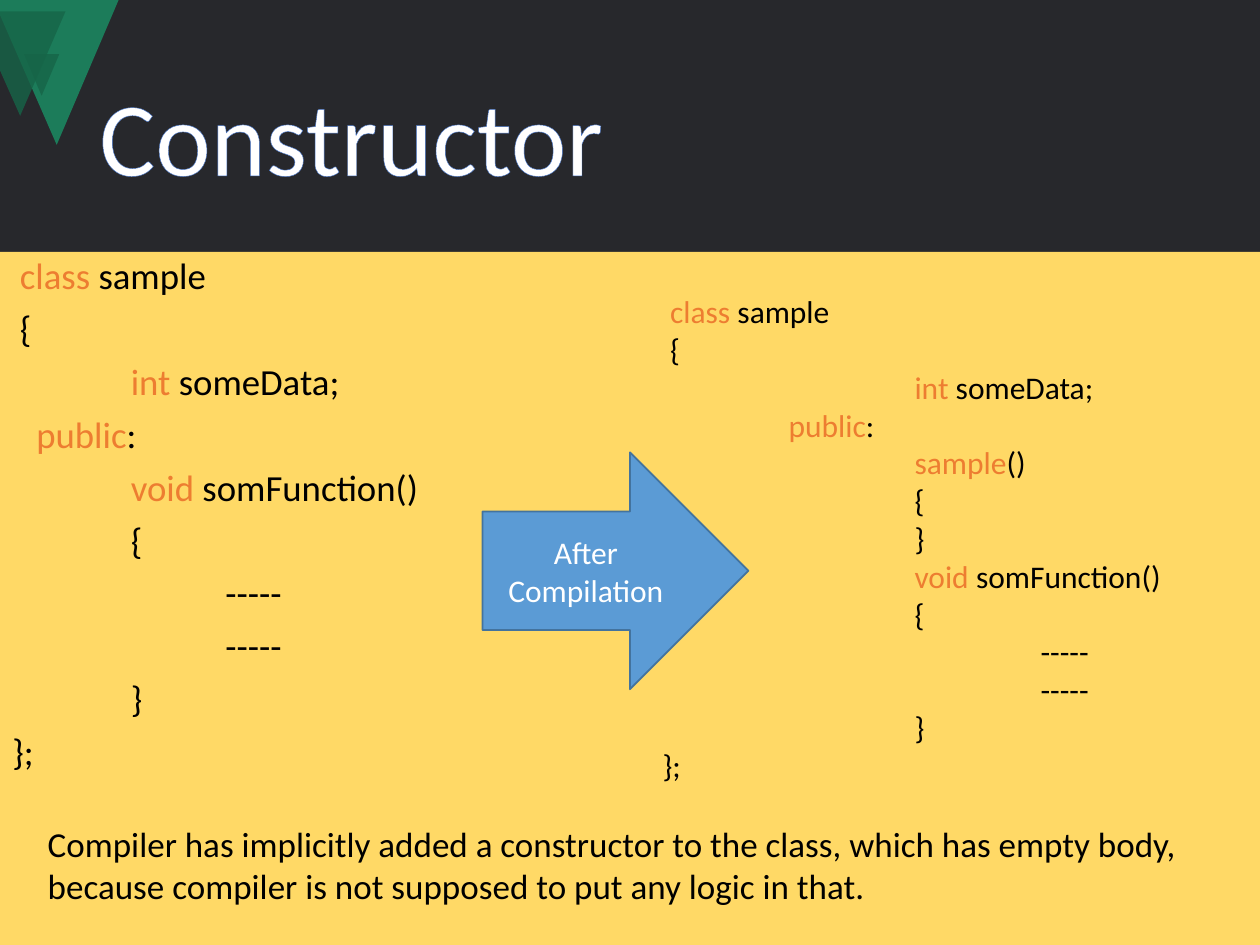
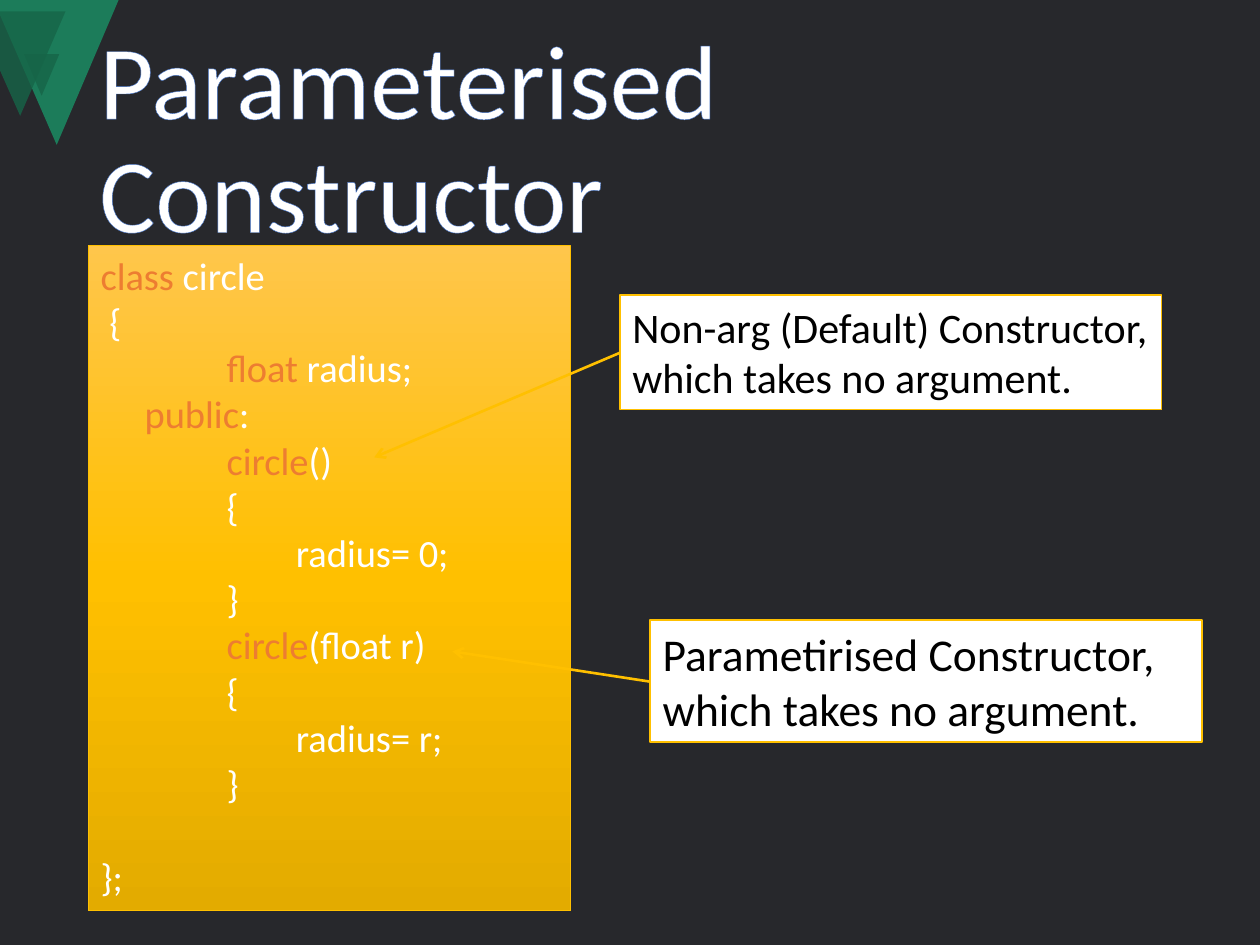
from copy import deepcopy
from dataclasses import dataclass

from lxml import etree
from pptx import Presentation
from pptx import util as u
from pptx.dml.color import RGBColor
from pptx.enum import shapes, text
from pptx.oxml import ns


@dataclass(frozen=True)
class Theme:
    font: str = "Calibri"
    night: str = "27282C"
    sand: str = "FFD966"
    gold: str = "FFC000"
    gold_light: str = "FFC64B"
    gold_dark: str = "E3AB00"
    green: str = "1C7C5A"
    green_dark: str = "166548"
    blue: str = "5B9BD5"
    blue_edge: str = "43739E"
    outline: str = "4472C4"
    keyword: str = "ED7D31"
    white: str = "FFFFFF"
    black: str = "000000"
    title: int = 60
    source: int = 21
    compiled: int = 18
    circle: int = 22
    caption: int = 20
    note: int = 24
    big_note: int = 26


THEME = Theme()
COLUMNS, ROWS = 100, 75
WIDTH, HEIGHT = u.Inches(10), u.Inches(7.5)
RECTANGLE = shapes.MSO_SHAPE.RECTANGLE


def column(count):
    return round(WIDTH * count / COLUMNS)


def row(count):
    return round(HEIGHT * count / ROWS)


def area(left, top, width, height):
    return column(left), row(top), column(width), row(height)


def rgb(value):
    return RGBColor.from_string(value)


def add_xml(parent, tag, **attributes):
    return etree.SubElement(parent, ns.qn(tag), attributes)


def paint(shape, fill, line=None, weight=1, alpha=None):
    shape.shadow.inherit = False
    shape.fill.solid()
    shape.fill.fore_color.rgb = rgb(fill)
    if alpha:
        color = shape.fill._xPr.find(".//" + ns.qn("a:srgbClr"))
        add_xml(color, "a:alpha", val=str(alpha * 1000))
    if line:
        shape.line.color.rgb = rgb(line)
        shape.line.width = u.Pt(weight)
    else:
        shape.line.fill.background()


def paint_gradient(shape, colors):
    shape.fill.gradient()
    shape.fill.gradient_angle = 270
    stops = shape.fill._xPr.find(".//" + ns.qn("a:gsLst"))
    while len(stops) < len(colors):
        stops.append(deepcopy(stops[0]))
    for index, (stop, color) in enumerate(zip(shape.fill.gradient_stops, colors)):
        stop.position = index / (len(colors) - 1)
        stop.color.rgb = rgb(color)


def add_box(slide, place, fill, line=None, weight=1, kind=RECTANGLE, alpha=None):
    box = slide.shapes.add_shape(kind, *area(*place))
    paint(box, fill, line, weight, alpha)
    box.text_frame.vertical_anchor = text.MSO_ANCHOR.TOP
    return box


def add_polygon(slide, points, fill, alpha=None):
    corners = [(column(x), row(y)) for x, y in points]
    builder = slide.shapes.build_freeform(*corners[0])
    builder.add_line_segments(corners[1:], close=True)
    paint(builder.convert_to_shape(), fill, alpha=alpha)


def add_run(para, words, size, color):
    span = para.add_run()
    span.text = words
    span.font.name = THEME.font
    span.font.size = u.Pt(size)
    span.font.color.rgb = rgb(color)
    return span


def write_lines(box, lines, size, color, align=text.PP_ALIGN.LEFT):
    frame = box.text_frame
    frame.word_wrap = True
    for index, words in enumerate(lines):
        para = frame.add_paragraph() if index else frame.paragraphs[0]
        para.alignment = align
        add_run(para, words, size, color)


def write_code(box, lines, size, color, spacing=1.0, before=0):
    frame = box.text_frame
    frame.word_wrap = True
    for index, (indent, keyword, rest) in enumerate(lines):
        para = frame.add_paragraph() if index else frame.paragraphs[0]
        para.alignment = text.PP_ALIGN.LEFT
        para.line_spacing = spacing
        para.space_before = u.Pt(before)
        para._p.get_or_add_pPr().set("marL", str(column(indent)))
        if keyword:
            add_run(para, keyword, size, THEME.keyword)
        if rest:
            add_run(para, rest, size, color)


def add_text(slide, place, words, size, color):
    box = slide.shapes.add_textbox(*area(*place))
    write_lines(box, [words], size, color)
    return box


def add_title(slide, words):
    box = add_text(slide, (6.9, 4, 86.2, 14.5), words, THEME.title, THEME.white)
    box.text_frame.vertical_anchor = text.MSO_ANCHOR.MIDDLE
    para = box.text_frame.paragraphs[0]
    para.line_spacing = 0.9
    line = etree.Element(ns.qn("a:ln"), w=str(u.Pt(0.8)))
    add_xml(add_xml(line, "a:solidFill"), "a:srgbClr", val=THEME.outline)
    para.runs[0]._r.get_or_add_rPr().insert(0, line)


def add_corner(slide):
    add_polygon(slide, [(0, -0.2), (9.5, -0.2), (4.5, 11.5), (0, 1.2)], THEME.green)
    small = add_box(slide, (1.9, 4.3, 2.8, 3.3), THEME.green_dark,
                    kind=shapes.MSO_SHAPE.ISOSCELES_TRIANGLE, alpha=80)
    small.rotation = 180
    add_polygon(slide, [(0, 0.9), (5.2, 0.9), (1.6, 9.2), (0, 5.6)],
                THEME.green_dark, alpha=80)


def add_note(slide, place, words, size):
    box = add_box(slide, place, THEME.white, THEME.gold)
    write_lines(box, [words], size, THEME.black)


def add_arrow(slide, start, end):
    arrow = slide.shapes.add_connector(
        shapes.MSO_CONNECTOR.STRAIGHT,
        column(start[0]), row(start[1]), column(end[0]), row(end[1]))
    arrow.line.color.rgb = rgb(THEME.gold)
    arrow.line.width = u.Pt(1.5)
    add_xml(arrow.line._get_or_add_ln(), "a:tailEnd", type="arrow")
    add_xml(arrow._element.spPr, "a:effectLst")


def start_slide(deck, title):
    slide = deck.slides.add_slide(deck.slide_layouts[6])
    add_corner(slide)
    add_title(slide, title)
    return slide


def sample_class(label, member, inner, extra=()):
    return [
        (0.6, "class", " sample"),
        (0.6, "", "{"),
        (member, "int ", "someData;"),
        (label, "public", ":"),
        *extra,
        (member, "void ", "somFunction()"),
        (member, "", "{"),
        (inner, "", "-----"),
        (inner, "", "-----"),
        (member, "", "}"),
        (0, "", "};"),
    ]


def circle_method(arguments, value):
    return [
        (10, "circle", arguments),
        (10, "", "{"),
        (15.5, "", f"radius= {value};"),
        (10, "", "}"),
    ]


def build_constructor(deck):
    slide = start_slide(deck, "Constructor")
    source = add_box(slide, (0, 20, 100, 55), THEME.sand)
    write_code(source, sample_class(1.9, 9.4, 16.9), THEME.source, THEME.black, 0.9, 7.5)

    compiled = add_box(slide, (51.6, 22.7, 44.5, 40.4), THEME.sand)
    added = [(20, "sample", "()"), (20, "", "{"), (20, "", "}")]
    write_code(compiled, sample_class(10, 20, 30, added), THEME.compiled, THEME.black)

    arrow = add_box(slide, (38.3, 35.9, 21.1, 18.8), THEME.blue, THEME.blue_edge,
                    kind=shapes.MSO_SHAPE.RIGHT_ARROW)
    arrow.text_frame.vertical_anchor = text.MSO_ANCHOR.MIDDLE
    write_lines(arrow, ["After", "Compilation"], THEME.compiled, THEME.white,
                text.PP_ALIGN.CENTER)
    add_text(slide, (2.8, 64.8, 92.5, 7.7),
             "Compiler has implicitly added a constructor to the class, which has empty "
             "body, because compiler is not supposed to put any logic in that.",
             THEME.caption, THEME.black)


def build_parameterised(deck):
    slide = start_slide(deck, "Parameterised Constructor")
    panel = add_box(slide, (7, 19.5, 38.3, 52.8), THEME.gold, THEME.gold, 0.5)
    paint_gradient(panel, [THEME.gold_light, THEME.gold, THEME.gold_dark])
    lines = [
        (0, "class", " circle"),
        (0.7, "", "{"),
        (10, "float", " radius;"),
        (3.5, "public", ":"),
        *circle_method("()", "0"),
        *circle_method("(float r)", "r"),
        (0, "", "};"),
    ]
    write_code(panel, lines, THEME.circle, THEME.white)
    panel.text_frame.paragraphs[-1].space_before = u.Pt(THEME.circle * 1.22)

    add_note(slide, (49.2, 23.4, 43, 9.1),
             "Non-arg (Default) Constructor, which takes no argument.", THEME.note)
    add_note(slide, (51.6, 49.2, 43.8, 9.7),
             "Parametirised Constructor, which takes no argument.", THEME.big_note)
    add_arrow(slide, (51.6, 54.1), (35.9, 51.7))
    add_arrow(slide, (49.2, 28), (29.7, 36.3))


def main():
    deck = Presentation()
    deck.slide_width, deck.slide_height = WIDTH, HEIGHT
    backdrop = deck.slide_master.background.fill
    backdrop.solid()
    backdrop.fore_color.rgb = rgb(THEME.night)
    build_constructor(deck)
    build_parameterised(deck)
    deck.save("out.pptx")


main()
